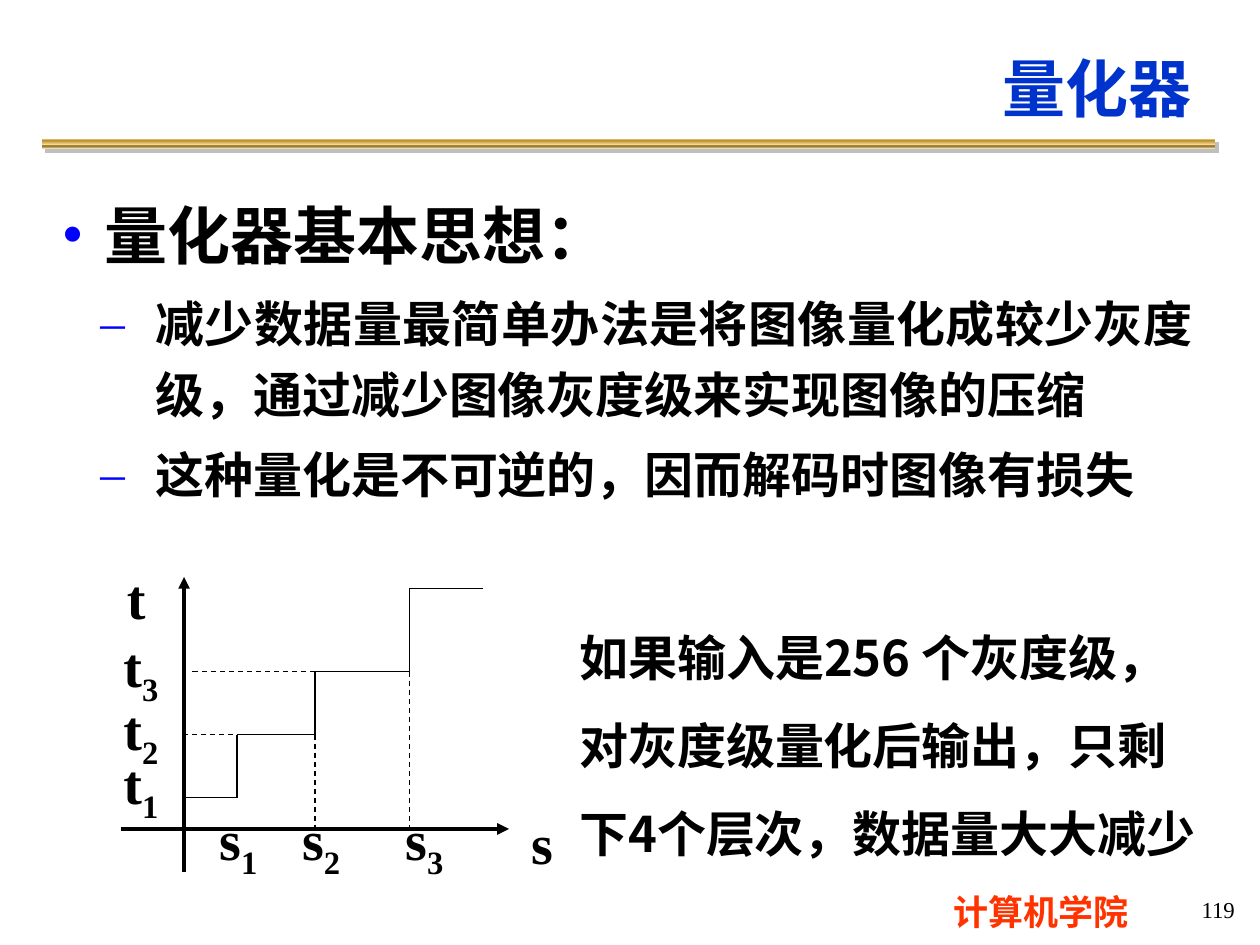
from dataclasses import dataclass

from lxml import etree
from pptx import Presentation
from pptx.dml.color import RGBColor
from pptx.enum.dml import MSO_LINE
from pptx.enum.shapes import MSO_CONNECTOR, MSO_SHAPE
from pptx.enum.text import MSO_ANCHOR, MSO_AUTO_SIZE, PP_ALIGN
from pptx.oxml import parse_xml
from pptx.oxml.ns import nsdecls, qn
from pptx.util import Cm, Pt

LEFT, CENTER, RIGHT, JUSTIFY = PP_ALIGN.LEFT, PP_ALIGN.CENTER, PP_ALIGN.RIGHT, PP_ALIGN.JUSTIFY
MIDDLE, TOP = MSO_ANCHOR.MIDDLE, MSO_ANCHOR.TOP
NO_FIT = MSO_AUTO_SIZE.NONE
STRAIGHT, DASH, RECTANGLE = MSO_CONNECTOR.STRAIGHT, MSO_LINE.DASH, MSO_SHAPE.RECTANGLE


@dataclass(frozen=True)
class Theme:
    cjk: str = "Noto Sans CJK SC"
    serif: str = "Times New Roman"
    ink: str = "000000"
    title: str = "0033CC"
    bullet: str = "0000FF"
    school: str = "FF3300"
    shadow: str = "808080"
    gold: tuple = ((0, "FBE4AE"), (13, "BD922A"), (21, "BD922A"), (63, "FBE4AE"),
                   (67, "BD922A"), (69, "835E17"), (82, "A28949"), (100, "FAE3B7"))
    heading_size: int = 36
    label_size: int = 32
    text_size: int = 28
    footer_size: int = 20
    number_size: int = 13
    axis_width: float = 2.25
    thin_width: float = 0.75


class SlideBuilder:
    def __init__(self, page, theme):
        self.page = page
        self.theme = theme

    def place(self, shape, left, top, width, height):
        shape.left, shape.top = Cm(left), Cm(top)
        shape.width, shape.height = Cm(width), Cm(height)

    def style(self, para, size, color=None, face=None, bold=True):
        face = face or self.theme.cjk
        font = para.font
        font.size, font.bold, font.name = Pt(size), bold, face
        font.color.rgb = RGBColor.from_string(color or self.theme.ink)
        east_asian = etree.SubElement(font._element, qn("a:ea"))
        east_asian.set("typeface", face)

    def title(self, text, *bounds):
        box = self.page.shapes.title
        self.place(box, *bounds)
        frame = box.text_frame
        frame.text, frame.vertical_anchor, frame.auto_size = text, MIDDLE, NO_FIT
        para = frame.paragraphs[0]
        para.alignment = RIGHT
        self.style(para, self.theme.heading_size, self.theme.title)

    def bullets(self, items, *bounds):
        """Fill the body placeholder with (level, text) items."""
        box = self.page.placeholders[1]
        self.place(box, *bounds)
        frame = box.text_frame
        frame.vertical_anchor, frame.auto_size = TOP, NO_FIT
        frame.text = "\n".join(text for _, text in items)
        levels = (("•", 0.87, 0.87, LEFT, self.theme.heading_size),
                  ("–", 1.89, 1.11, JUSTIFY, self.theme.text_size))
        for index, (para, (level, _)) in enumerate(zip(frame.paragraphs, items)):
            mark, margin, hanging, alignment, size = levels[level]
            para.level, para.alignment, para.line_spacing = level, alignment, 1.2
            para.space_before = Pt(size * 0.2 if index else 0)
            properties = para._p.get_or_add_pPr()
            properties.set("marL", str(Cm(margin)))
            properties.set("indent", str(-Cm(hanging)))
            color = etree.SubElement(properties, qn("a:buClr"))
            etree.SubElement(color, qn("a:srgbClr")).set("val", self.theme.bullet)
            etree.SubElement(properties, qn("a:buFont")).set("typeface", self.theme.serif)
            etree.SubElement(properties, qn("a:buChar")).set("char", mark)
            self.style(para, size)

    def text(self, text, bounds, size, color=None, face=None, bold=True,
             alignment=LEFT, anchor=MIDDLE, wrap=True, spacing=None, subscript=""):
        box = self.page.shapes.add_textbox(*map(Cm, bounds))
        frame = box.text_frame
        frame.word_wrap, frame.vertical_anchor = wrap, anchor
        para = frame.paragraphs[0]
        para.alignment = alignment
        if spacing:
            para.line_spacing = spacing
        para.add_run().text = text
        if subscript:
            span = para.add_run()
            span.text = subscript
            span._r.get_or_add_rPr().set("baseline", "-25000")
        self.style(para, size, color, face, bold)

    def label(self, text, left, top, width, subscript=""):
        self.text(text, (left, top, width, 1.6), self.theme.label_size,
                  face=self.theme.serif, wrap=False, subscript=subscript)

    def line(self, start, end, width=None, dash=None, arrow=False):
        line = self.page.shapes.add_connector(STRAIGHT, *map(Cm, start + end))
        line.line.color.rgb = RGBColor.from_string(self.theme.ink)
        line.line.width = Pt(width or self.theme.thin_width)
        if dash:
            line.line.dash_style = dash
        if arrow:
            etree.SubElement(line.line._get_or_add_ln(), qn("a:tailEnd")).set("type", "triangle")
        etree.SubElement(line._element.spPr, qn("a:effectLst"))

    def gold_bar(self, *bounds):
        bar = self.page.shapes.add_shape(RECTANGLE, *map(Cm, bounds))
        bar.line.fill.background()
        bar.shadow.inherit = False
        bar.fill.gradient()
        bar.fill.gradient_angle = 270  # counter-clockwise, so top to bottom
        properties = bar._element.spPr
        stops = properties.find(".//" + qn("a:gsLst"))
        for stop in list(stops):
            stops.remove(stop)
        for position, color in self.theme.gold:
            stop = etree.SubElement(stops, qn("a:gs"))
            stop.set("pos", str(position * 1000))
            etree.SubElement(stop, qn("a:srgbClr")).set("val", color)
        properties.find(qn("a:effectLst")).append(parse_xml(
            f'<a:outerShdw {nsdecls("a")} dist="{Pt(2.8)}" dir="2700000" algn="ctr" '
            f'rotWithShape="0"><a:srgbClr val="{self.theme.shadow}">'
            '<a:alpha val="50000"/></a:srgbClr></a:outerShdw>'))


def main():
    deck = Presentation()
    deck.slide_width, deck.slide_height = Cm(25.4), Cm(19.05)
    theme = Theme()
    builder = SlideBuilder(deck.slides.add_slide(deck.slide_layouts[1]), theme)

    # Heading, rule and list
    builder.gold_bar(0.84, 2.8, 23.65, 0.2)
    builder.title("量化器", 2.69, 0, 21.59, 3.53)
    builder.bullets([
        (0, "量化器基本思想："),
        (1, "减少数据量最简单办法是将图像量化成较少灰度级，通过减少图像灰度级来实现图像的压缩"),
        (1, "这种量化是不可逆的，因而解码时图像有损失"),
    ], 0.99, 3.53, 23.32, 13.49)

    # Explanation beside the diagram
    builder.text("如果输入是256 个灰度级，对灰度级量化后输出，只剩下4个层次，数据量大大减少",
                 (11.43, 12.04, 13.16, 5.36), theme.text_size, spacing=1.5)

    # Axes
    origin_x, origin_y = 3.71, 16.71
    builder.line((2.44, origin_y), (10.26, origin_y), theme.axis_width, arrow=True)
    builder.line((origin_x, 17.58), (origin_x, 11.63), theme.axis_width, arrow=True)
    builder.label("s", 10.46, 16.18, 0.97)
    builder.label("t", 2.31, 11.23, 0.89)

    # Quantizer staircase: alternating treads and risers
    edges = [origin_x, 4.78, 6.35, 8.26, 9.73]
    levels = [16.08, 14.81, 13.54, 11.86]
    for step, level in enumerate(levels):
        builder.line((edges[step], level), (edges[step + 1], level))
        if step < len(levels) - 1:
            builder.line((edges[step + 1], level), (edges[step + 1], levels[step + 1]))

    # Dashed guides to both axes
    for x, level in zip(edges[2:4], levels[1:3]):
        builder.line((x, level), (x, origin_y), dash=DASH)
    for start, end, level in ((4.88, 3.61, levels[1]), (6.35, 3.81, levels[2])):
        builder.line((start, level), (end, level), dash=DASH)

    # Threshold and output labels
    for number, (left, top) in enumerate(((4.17, 15.06), (5.84, 13.97), (7.92, 12.7)), 1):
        builder.label("s", left, 16.18, 1.32, str(number))
        builder.label("t", 2.24, top, 1.24, str(number))

    # Footer
    builder.text("计算机学院", (17.5, 17.83, 6.99, 1.09), theme.footer_size,
                 theme.school, alignment=CENTER, anchor=TOP)
    builder.text("119", (20.29, 17.86, 4.85, 0.94), theme.number_size,
                 face=theme.serif, bold=False, alignment=RIGHT)

    deck.save("out.pptx")


if __name__ == "__main__":
    main()
